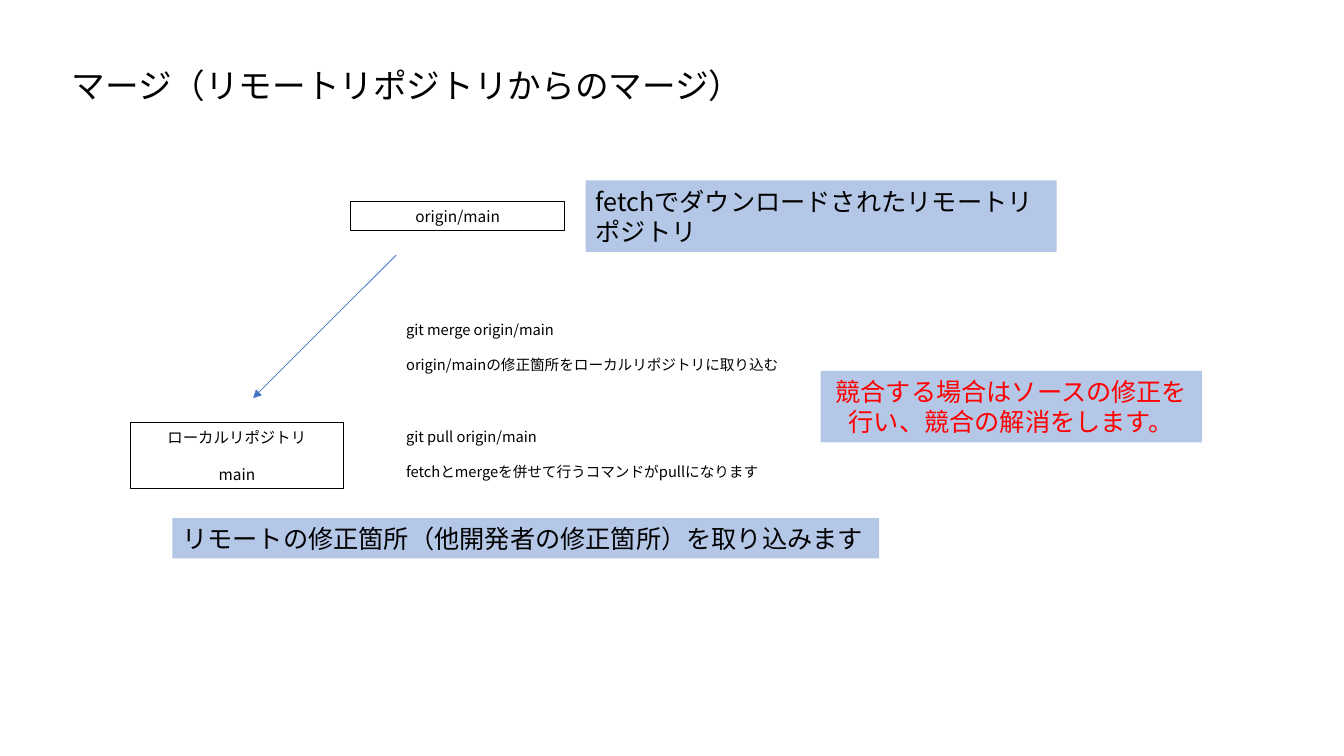
from dataclasses import dataclass

from lxml.etree import SubElement
from pptx import Presentation
from pptx.dml.color import RGBColor
from pptx.enum.shapes import MSO_CONNECTOR, MSO_SHAPE
from pptx.enum.text import MSO_ANCHOR, PP_ALIGN
from pptx.oxml.ns import qn
from pptx.util import Inches, Pt


@dataclass(frozen=True)
class Theme:
    """Colours, font, type sizes and grid step of the slide."""
    ink: str = "000000"
    alert: str = "FF0000"
    band: str = "B4C7E7"
    arrow: str = "4472C4"
    font: str = "Noto Sans CJK JP"
    title: float = 24
    note: float = 18
    repo: float = 11
    code: float = 10.5
    gap: float = 1.17
    cell: float = 0.1


class Board:
    """Draws elements on one slide, placed by grid columns and rows."""

    def __init__(self, deck, theme):
        """Add a title-only slide to the deck."""
        self.theme = theme
        self.slide = deck.slides.add_slide(deck.slide_layouts[5])

    def grid(self, *cells):
        """Turn grid counts into lengths."""
        return [Inches(n * self.theme.cell) for n in cells]

    def label(self, shape, lines, size, color=None, align=PP_ALIGN.LEFT):
        """Fill a shape with styled paragraphs, one line apart."""
        frame = shape.text_frame
        frame.text = "\n".join(lines)
        frame.word_wrap = True
        frame.vertical_anchor = MSO_ANCHOR.MIDDLE
        for i, para in enumerate(frame.paragraphs):
            para.alignment = align
            if i:
                para.space_before = Pt(round(size * self.theme.gap, 1))
            for run in para.runs:
                run.font.size = Pt(size)
                run.font.name = self.theme.font
                run.font.color.rgb = RGBColor.from_string(color or self.theme.ink)
                SubElement(run._r.get_or_add_rPr(), qn("a:ea"), typeface=self.theme.font)

    def title(self, text, *cells):
        """Place and format the title."""
        head = self.slide.shapes.title
        head.left, head.top, head.width, head.height = self.grid(*cells)
        self.label(head, [text], self.theme.title)

    def rect(self, cells):
        """Add a plain rectangle without shadow."""
        shape = self.slide.shapes.add_shape(MSO_SHAPE.RECTANGLE, *self.grid(*cells))
        shape.shadow.inherit = False
        return shape

    def repo(self, lines, *cells):
        """Add an outlined repository box."""
        shape = self.rect(cells)
        shape.fill.background()
        shape.line.color.rgb = RGBColor.from_string(self.theme.ink)
        shape.line.width = Pt(0.75)
        self.label(shape, lines, self.theme.repo, align=PP_ALIGN.CENTER)

    def note(self, text, *cells, color=None, align=PP_ALIGN.LEFT):
        """Add a filled note."""
        shape = self.rect(cells)
        shape.fill.solid()
        shape.fill.fore_color.rgb = RGBColor.from_string(self.theme.band)
        shape.line.fill.background()
        self.label(shape, [text], self.theme.note, color, align)

    def code(self, lines, *cells):
        """Add a command with its explanation."""
        self.label(self.slide.shapes.add_textbox(*self.grid(*cells)), lines, self.theme.code)

    def arrow(self, *cells):
        """Add a straight arrow between two grid points."""
        link = self.slide.shapes.add_connector(MSO_CONNECTOR.STRAIGHT, *self.grid(*cells))
        link.line.color.rgb = RGBColor.from_string(self.theme.arrow)
        link.line.width = Pt(0.5)
        props = link._element.spPr
        SubElement(props.find(qn("a:ln")), qn("a:tailEnd"), type="triangle")
        SubElement(props, qn("a:effectLst"))


def main():
    """Build the merge slide and save it."""
    deck = Presentation()
    deck.slide_width, deck.slide_height = Inches(13.33), Inches(7.5)
    theme = Theme()
    board = Board(deck, theme)
    board.title("マージ（リモートリポジトリからのマージ）", 6.1, 5.9, 72.6, 5)
    board.repo(["origin/main"], 34.8, 20, 21.2, 2.9)
    board.repo(["ローカルリポジトリ", "main"], 12.9, 41.9, 21.2, 6.6)
    board.arrow(39.3, 25.3, 25.1, 39.5)
    board.code(["git merge origin/main",
                "origin/mainの修正箇所をローカルリポジトリに取り込む"], 39.3, 31.3, 42.5, 6.3)
    board.note("fetchでダウンロードされたリモートリポジトリ", 58.1, 17.9, 46.7, 7.1)
    board.code(["git pull origin/main",
                "fetchとmergeを併せて行うコマンドがpullになります"], 39.3, 41.9, 42.5, 6.3)
    board.note("リモートの修正箇所（他開発者の修正箇所）を取り込みます", 17.1, 51.4, 70.1, 4)
    board.note("競合する場合はソースの修正を行い、競合の解消をします。", 81.4, 36.8, 37.8, 7.1,
               color=theme.alert, align=PP_ALIGN.CENTER)
    deck.save("out.pptx")


if __name__ == "__main__":
    main()
